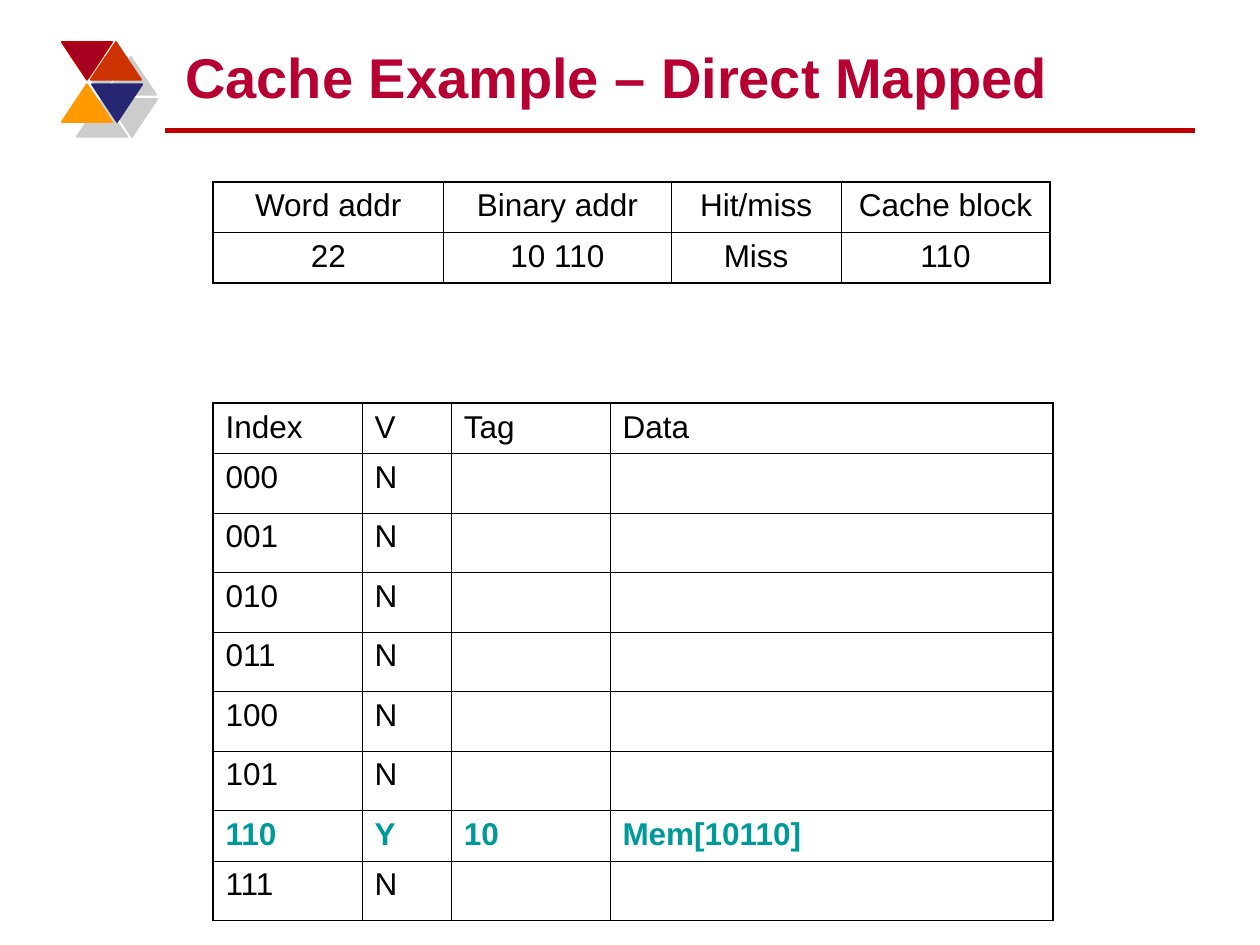
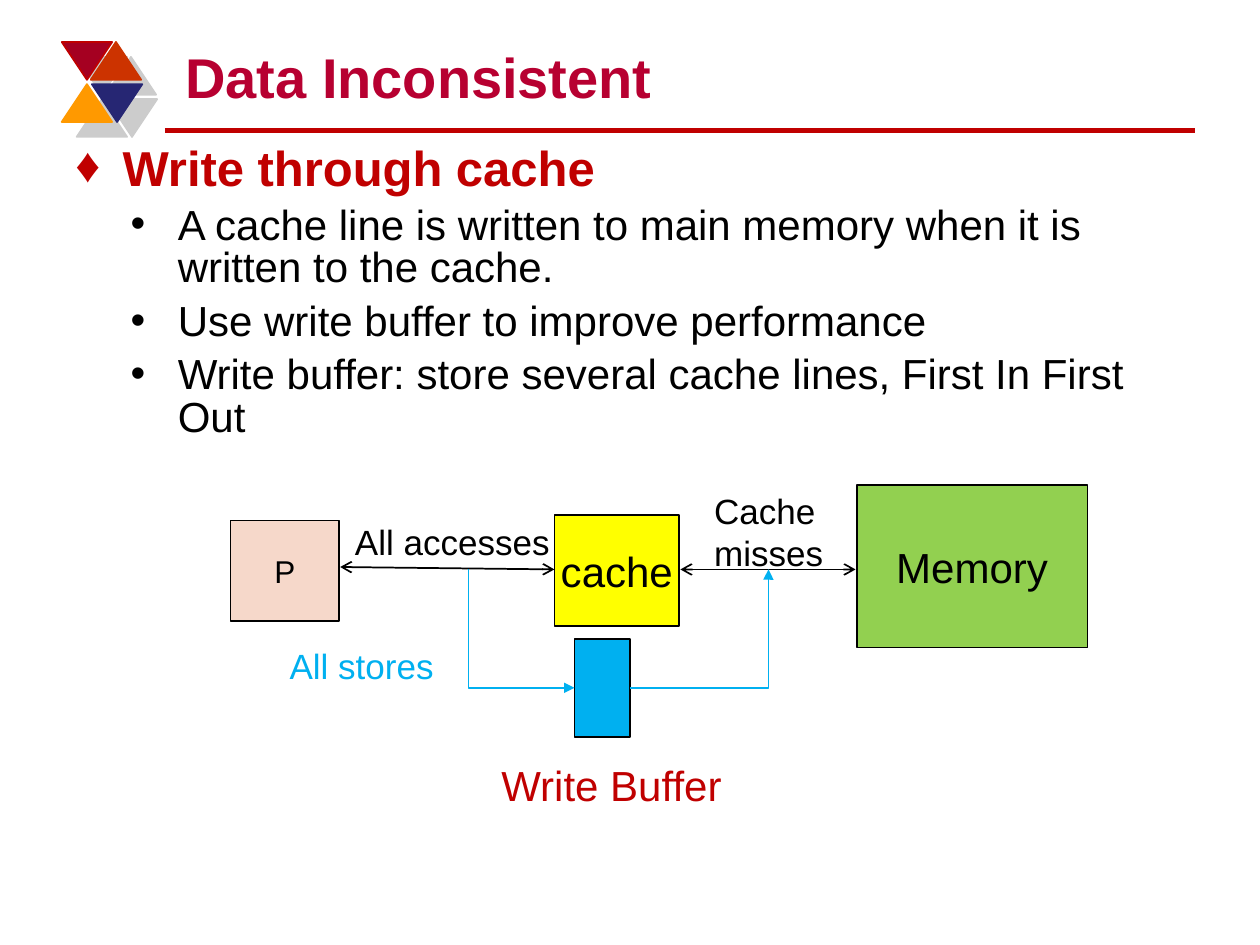
from pptx import Presentation
from pptx.dml.color import RGBColor
from pptx.enum.shapes import MSO_CONNECTOR as Link, MSO_SHAPE as Form
from pptx.enum.text import MSO_ANCHOR as Anchor, PP_ALIGN as Align
from pptx.oxml.ns import qn
from pptx.util import Pt
from lxml.etree import SubElement

FONT = "Arial"
BLACK = RGBColor(0, 0, 0)
WINE = RGBColor(0xB7, 0x00, 0x31)
RED = RGBColor(0xC0, 0x00, 0x00)
DARK = RGBColor(0xA5, 0x00, 0x21)
RUST = RGBColor(0xCC, 0x33, 0x00)
AMBER = RGBColor(0xFF, 0x99, 0x00)
NAVY = RGBColor(0x26, 0x26, 0x73)
TEAL = RGBColor(0x00, 0x99, 0x99)
PEACH = RGBColor(0xF6, 0xD8, 0xCA)
YELLOW = RGBColor(0xFF, 0xFF, 0x00)
GREEN = RGBColor(0x92, 0xD0, 0x50)
BLUE = RGBColor(0x00, 0xB0, 0xF0)

THIN, MID, THICK = 0.45, 0.75, 1.08


def style(para, size, color=BLACK, bold=False, align=Align.LEFT):
    para.alignment = align
    font = para.font
    font.name, font.size, font.bold = FONT, Pt(size), bold
    font.color.rgb = color


def add_form(slide, kind, box, fill, edge=BLACK):
    form = slide.shapes.add_shape(kind, *map(Pt, box))
    form.shadow.inherit = False
    form.fill.solid()
    form.fill.fore_color.rgb = fill
    form.line.color.rgb = edge
    form.line.width = Pt(1)
    return form


def add_line(slide, start, end, color, width=1, kind=Link.STRAIGHT, heads=()):
    line = slide.shapes.add_connector(kind, *map(Pt, (*start, *end)))
    line.line.color.rgb = color
    line.line.width = Pt(width)
    for tag, shape in heads:
        SubElement(line.line._get_or_add_ln(), qn(f"a:{tag}"), type=shape)
    SubElement(line._element.spPr, qn("a:effectLst"))
    return line


def add_elbow(slide, start, end, bend):
    elbow = add_line(slide, start, end, BLUE, kind=Link.ELBOW,
                     heads=[("tailEnd", "triangle")])
    guides = elbow._element.find(".//" + qn("a:avLst"))
    SubElement(guides, qn("a:gd"), name="adj1", fmla=f"val {bend}")


def add_text(slide, box, text, size, color=BLACK):
    frame = slide.shapes.add_textbox(*map(Pt, box)).text_frame
    frame.word_wrap = True
    frame.text = text
    style(frame.paragraphs[0], size, color)


def cast_shade(form):
    effects = form._element.spPr.find(qn("a:effectLst"))
    shade = SubElement(effects, qn("a:outerShdw"), blurRad="0",
                       dist=str(Pt(12.1)), dir="2700000", rotWithShape="0")
    tint = SubElement(shade, qn("a:srgbClr"), val=str(BLACK))
    SubElement(tint, qn("a:alpha"), val="20000")


def add_emblem(slide, left, top):
    parts = [(0, 0, 180, DARK, RED), (16.6, 0, 0, RUST, RUST),
             (0, 24.1, 0, AMBER, AMBER), (17.2, 24.1, 180, NAVY, NAVY)]
    for x, y, turn, fill, edge in parts:
        form = add_form(slide, Form.ISOSCELES_TRIANGLE,
                        (left + x, top + y, 28.8, 21.6), fill, edge)
        form.rotation = turn
        cast_shade(form)


def add_page(deck, title):
    slide = deck.slides.add_slide(deck.slide_layouts[5])
    add_line(slide, (94.3, 74.4), (682.6, 74.4), RED, 3)
    add_emblem(slide, 35.3, 24)
    head = slide.shapes.title
    head.left, head.top, head.width, head.height = map(Pt, (98.6, 18, 576, 48.2))
    frame = head.text_frame
    frame.text = title
    frame.vertical_anchor = Anchor.BOTTOM
    style(frame.paragraphs[0], 32, WINE, True)
    return slide


def set_edges(cell, widths):
    props = cell._tc.get_or_add_tcPr()
    for side, width in zip("LRTB", widths):
        edge = SubElement(props, qn(f"a:ln{side}"), w=str(Pt(width)))
        fill = SubElement(edge, qn("a:solidFill"))
        SubElement(fill, qn("a:srgbClr"), val=str(BLACK))
    cell.fill.background()


def add_grid(slide, left, top, cols, rows, align, marked=None):
    heights = [28.8 if all(row) else 34 for row in rows]
    table = slide.shapes.add_table(len(rows), len(cols), Pt(left), Pt(top),
                                   Pt(sum(cols)), Pt(sum(heights))).table
    table.first_row = table.horz_banding = False
    for col, width in zip(table.columns, cols):
        col.width = Pt(width)
    across = [THICK] + [THIN] * (len(cols) - 1) + [THICK]
    down = [THICK, MID] + [THIN] * (len(rows) - 2) + [THICK]
    for r, row in enumerate(rows):
        table.rows[r].height = Pt(heights[r])
        for c, text in enumerate(row):
            cell = table.cell(r, c)
            cell.text = text
            hot = r == marked
            style(cell.text_frame.paragraphs[0], 18, TEAL if hot else BLACK,
                  hot, align)
            set_edges(cell, across[c:c + 2] + down[r:r + 2])


def add_cache(deck):
    slide = add_page(deck, "Cache Example – Direct Mapped")
    hit = 6
    lines = [(f"{n:03b}", "N", "", "") for n in range(8)]
    lines[hit] = ("110", "Y", "10", "Mem[10110]")
    add_grid(slide, 121.7, 230.4, (85.2, 51, 90.7, 253.1),
             [("Index", "V", "Tag", "Data"), *lines], Align.LEFT, hit + 1)
    add_grid(slide, 121.7, 104, (131.8, 130, 97.2, 119.2),
             [("Word addr", "Binary addr", "Hit/miss", "Cache block"),
              ("22", "10 110", "Miss", "110")], Align.CENTER)


def add_points(slide, box, head, points):
    frame = slide.shapes.add_textbox(*map(Pt, box)).text_frame
    frame.word_wrap = True
    for n, text in enumerate([head, *points]):
        para = frame.paragraphs[0] if n == 0 else frame.add_paragraph()
        para.text = text
        top = n == 0
        color = RED if top else BLACK
        props = para._p.get_or_add_pPr()
        props.set("marL", str(Pt(27 if top else 58.5)))
        props.set("indent", str(Pt(-27)))
        tint = SubElement(props, qn("a:buClr"))
        SubElement(tint, qn("a:srgbClr"), val=str(color))
        SubElement(props, qn("a:buFont"), typeface=FONT)
        SubElement(props, qn("a:buChar"), char="♦" if top else "•")
        para.level = 0 if top else 1
        para.line_spacing = 0.75 if top else 0.85
        para.space_before = Pt(0 if top else 6)
        style(para, 28 if top else 24, color, top)


def add_flow(slide, left, top):
    def at(x, y, *size):
        return (left + x, top + y, *size)

    blocks = [("P", 18, PEACH, (0, 21.5, 61.9, 57.6)),
              ("cache", 24, YELLOW, (185, 18.5, 71.3, 63.4)),
              ("Memory", 24, GREEN, (357.8, 1.2, 131.8, 92.9)),
              ("", 18, BLUE, (196.5, 89, 31.7, 56.2))]
    for text, size, fill, box in blocks:
        form = add_form(slide, Form.RECTANGLE, at(*box), fill)
        if text:
            frame = form.text_frame
            frame.margin_left = frame.margin_right = 0
            frame.vertical_anchor = Anchor.MIDDLE
            frame.text = text
            style(frame.paragraphs[0], size, align=Align.CENTER)

    both = [("headEnd", "arrow"), ("tailEnd", "arrow")]
    add_line(slide, at(62.6, 48), at(185, 49.4), BLACK, heads=both)
    add_line(slide, at(257, 49.4), at(357.1, 49.4), BLACK, heads=both)
    add_elbow(slide, at(136, 49.4), at(196.5, 117.1), 0)
    add_elbow(slide, at(228.2, 117.1), at(307.4, 49.4), 99900)

    labels = [("Write Buffer", 24, RED, (147.6, 154.6, 159.8, 36)),
              ("All stores", 20, BLUE, (26.6, 89, 117.4, 31.7)),
              ("All accesses", 20, BLACK, (64, 17.8, 134.6, 31.7)),
              ("Cache misses", 20, BLACK, (269.2, 0, 97.2, 55.4))]
    for text, size, color, box in labels:
        add_text(slide, at(*box), text, size, color)


def add_write(deck):
    slide = add_page(deck, "Data Inconsistent")
    add_points(slide, (36, 82.8, 644.4, 217.4), "Write through cache", [
        "A cache line is written to main memory when it is written to the cache.",
        "Use write buffer to improve performance",
        "Write buffer: store several cache lines, First In First Out"])
    add_flow(slide, 131.8, 276)


def main():
    deck = Presentation()
    deck.slide_width, deck.slide_height = Pt(720), Pt(540)
    add_cache(deck)
    add_write(deck)
    deck.save("out.pptx")


if __name__ == "__main__":
    main()
